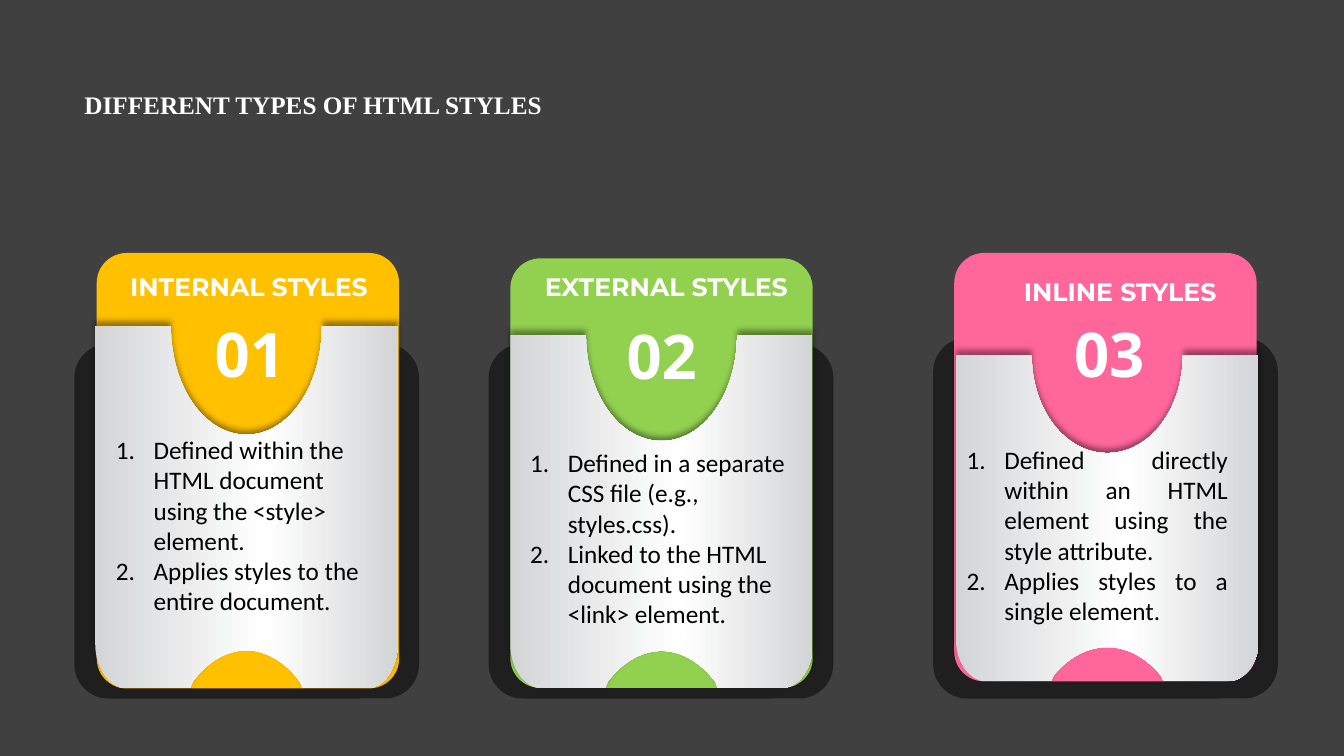
from copy import deepcopy

from lxml.etree import SubElement
from pptx import Presentation
from pptx.dml.color import RGBColor
from pptx.enum.shapes import MSO_SHAPE as SHAPE
from pptx.enum.text import MSO_AUTO_SIZE as AUTO_SIZE, PP_ALIGN as ALIGN
from pptx.oxml.ns import qn
from pptx.util import Inches, Pt

# Grid: one cell is a tenth of an inch
COLS, ROWS = 133.33, 75
PANEL_W, BACK_W = 30, 34.2
BACK_BOTTOM = 69.3
INDENT = Pt(27)

HEADING = dict(size=18, name="Montserrat", color="FFFFFF", bold=True)
NUMBER = dict(HEADING, size=44, name="Open Sans")
TITLE = dict(HEADING, name="Times New Roman")
BODY = dict(size=18, name="Calibri", color="000000", bold=False)

PANEL_STOPS = [(0, "D4D5D7"), (0.56, "FFFFFF"), (1, "D4D5D7")]

# Panel outline as shares of its width and height:
# two values make a straight line, six make a curve
PANEL_OUTLINE = [
    (0.25, 0),
    (0.25, 0.167, 0.36, 0.301, 0.5, 0.301),
    (0.64, 0.301, 0.75, 0.167, 0.75, 0),
    (1, 0),
    (1, 0.877),
    (1, 0.945, 0.953, 1, 0.896, 1),
    (0.687, 1),
    (0.677, 0.981),
    (0.63, 0.928, 0.567, 0.895, 0.5, 0.895),
    (0.433, 0.895, 0.37, 0.928, 0.323, 0.981),
    (0.313, 1),
    (0.104, 1),
    (0.047, 1, 0, 0.945, 0, 0.877),
    (0, 0),
]

CARDS = [
    dict(color="FFC000", back=(7.37, 34.1), tab=(9.6, 25.1), panel=(9.45, 32.3),
         bottom=68.3, number=("01", (15.95, 30.8, 17.7, 11.1)),
         heading=("INTERNAL STYLES", (9.6, 26.4, 30.2, 5.3)),
         body_box=(10.5, 42.6, 28.5, 19.2), align=None,
         points=["Defined within the HTML document using the <style> element.",
                 "Applies styles to the entire document."]),
    dict(color="92D050", back=(48.47, 34.1), tab=(50.63, 25.63), panel=(50.63, 33.2),
         bottom=68.25, number=("02", (56.8, 31.1, 17.7, 10.6)),
         heading=("EXTERNAL STYLES", (51.55, 26.4, 29.1, 4)),
         body_box=(51.6, 43.9, 28.5, 19.2), align=None,
         points=["Defined in a separate CSS file (e.g., styles.css).",
                 "Linked to the HTML document using the <link> element."]),
    dict(color="FF6699", back=(92.57, 33.5), tab=(94.67, 25.1), panel=(94.85, 35.2),
         bottom=67.6, number=("03", (101.2, 30.8, 17.7, 10.9)),
         heading=("INLINE STYLES", (98.67, 26.95, 24.9, 4)),
         body_box=(94.9, 43.57, 27.9, 19.2), align=ALIGN.JUSTIFY,
         points=["Defined directly within an HTML element using the style attribute.",
                 "Applies styles to a single element."]),
]


def cells(n):
    return Inches(n / 10)


def rgb(color):
    return RGBColor.from_string(color)


def add_round(slide, x, y, w, h, color, alpha=100):
    sp = slide.shapes.add_shape(SHAPE.ROUNDED_RECTANGLE, *map(cells, (x, y, w, h)))
    sp.adjustments[0] = 0.099
    sp.shadow.inherit = False
    sp.fill.solid()
    sp.fill.fore_color.rgb = rgb(color)
    sp.line.fill.background()
    if alpha < 100:
        clr = sp._element.spPr.find(".//" + qn("a:srgbClr"))
        SubElement(clr, qn("a:alpha"), val=str(alpha * 1000))


def add_text(slide, box, lines, fmt, align=None, numbered=False):
    tf = slide.shapes.add_textbox(*map(cells, box)).text_frame
    tf.word_wrap = True
    tf.auto_size = AUTO_SIZE.SHAPE_TO_FIT_TEXT
    for i, line in enumerate(lines):
        p = tf.add_paragraph() if i else tf.paragraphs[0]
        p.alignment = align
        if numbered:
            pPr = p._p.get_or_add_pPr()
            pPr.set("marL", str(INDENT))
            pPr.set("indent", str(-INDENT))
            SubElement(pPr, qn("a:buFont"), typeface="+mj-lt")
            SubElement(pPr, qn("a:buAutoNum"), type="arabicPeriod")
        r = p.add_run()
        r.text = line
        for key, value in fmt.items():
            if key == "color":
                r.font.color.rgb = rgb(value)
            else:
                setattr(r.font, key, Pt(value) if key == "size" else value)


def bend_lines(sp):
    """Turn the straight segments that have control points into curves."""
    lines = sp._element.spPr.findall(".//" + qn("a:lnTo"))
    for line, seg in zip(lines, PANEL_OUTLINE):
        if len(seg) == 6:
            line.tag = qn("a:cubicBezTo")
            for i in (0, 2):
                pt = deepcopy(line[-1])
                pt.set("x", str(round(seg[i] * sp.width)))
                pt.set("y", str(round(seg[i + 1] * sp.height)))
                line.insert(i // 2, pt)


def add_panel(slide, x, y, h):
    ends = [(cells(x + PANEL_W * seg[-2]), cells(y + h * seg[-1])) for seg in PANEL_OUTLINE]
    builder = slide.shapes.build_freeform(cells(x), cells(y))
    builder.add_line_segments(ends, close=True)
    sp = builder.convert_to_shape()
    bend_lines(sp)
    sp.line.fill.background()

    # Three-stop metallic gradient
    sp.fill.gradient()
    sp.fill.gradient_angle = 0
    stops = sp._element.spPr.find(".//" + qn("a:gsLst"))
    stops.append(deepcopy(stops[0]))
    for stop, (position, color) in zip(sp.fill.gradient_stops, PANEL_STOPS):
        stop.position = position
        stop.color.rgb = rgb(color)

    # Soft shadow cast upwards
    sp.shadow.inherit = False
    effects = sp._element.spPr.find(qn("a:effectLst"))
    shadow = SubElement(effects, qn("a:outerShdw"), blurRad=str(Pt(4)), dist=str(Pt(3)),
                        dir=str(270 * 60000), algn="b", rotWithShape="0")
    clr = SubElement(shadow, qn("a:srgbClr"), val="000000")
    SubElement(clr, qn("a:alpha"), val="40000")


def add_card(slide, card):
    (back_x, back_y), (tab_x, tab_y) = card["back"], card["tab"]
    (panel_x, panel_y), bottom = card["panel"], card["bottom"]
    add_round(slide, back_x, back_y, BACK_W, BACK_BOTTOM - back_y, "000000", alpha=50)
    add_round(slide, tab_x, tab_y, PANEL_W, bottom - tab_y, card["color"])
    add_panel(slide, panel_x, panel_y, bottom - panel_y)
    for part, fmt in (("heading", HEADING), ("number", NUMBER)):
        text, box = card[part]
        add_text(slide, box, [text], fmt, ALIGN.CENTER)
    add_text(slide, card["body_box"], card["points"], BODY, card["align"], numbered=True)


def main():
    prs = Presentation()
    prs.slide_width, prs.slide_height = cells(COLS), cells(ROWS)
    slide = prs.slides.add_slide(prs.slide_layouts[6])
    slide.background.fill.solid()
    slide.background.fill.fore_color.rgb = rgb("404040")
    add_text(slide, (7.4, 8.35, 59.4, 4), ["DIFFERENT TYPES OF HTML STYLES"], TITLE)
    for card in CARDS:
        add_card(slide, card)
    prs.save("out.pptx")


if __name__ == "__main__":
    main()
